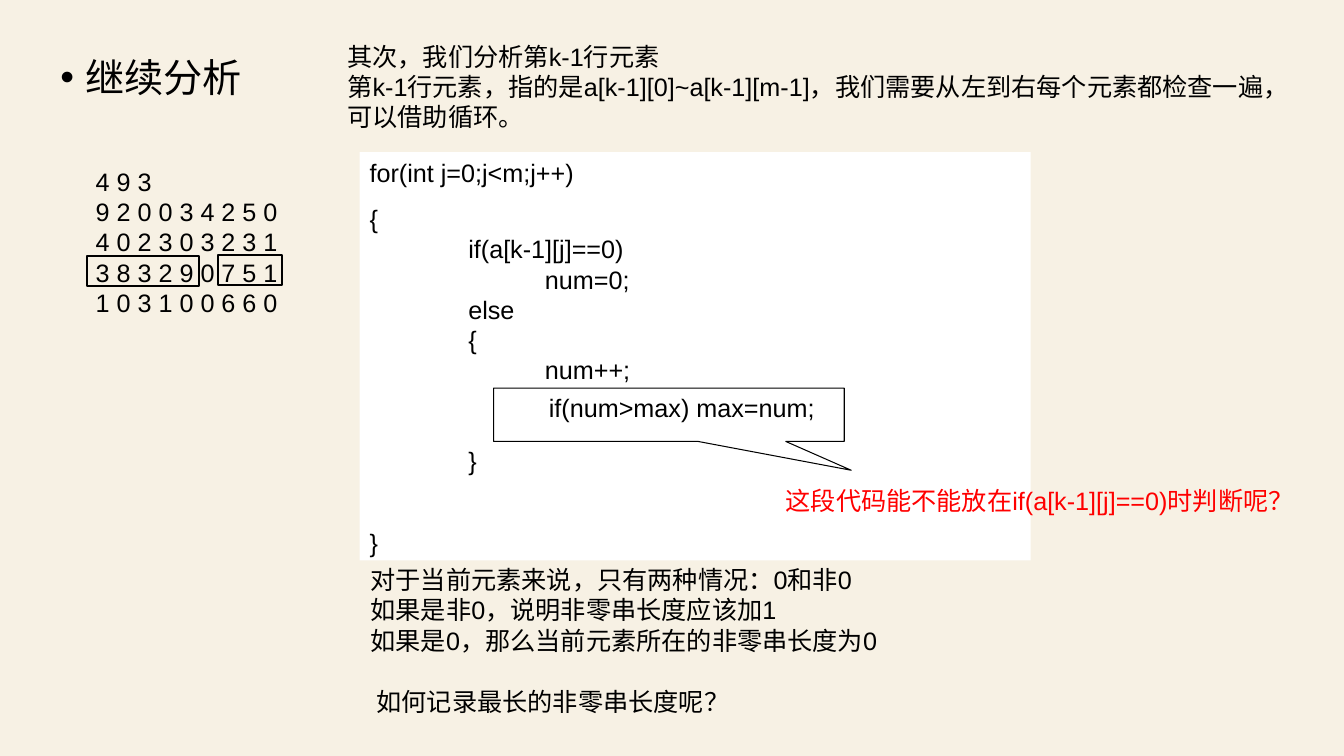
"""Build the slide that analyses the elements of row k-1."""
from pptx import Presentation
from pptx.dml.color import RGBColor
from pptx.enum.shapes import MSO_SHAPE as Shape
from pptx.enum.text import MSO_ANCHOR as Anchor, PP_ALIGN as Align
from pptx.util import Inches, Pt
from lxml.etree import SubElement

BLACK, RED, WHITE, CREAM = "000000", "FF0000", "FFFFFF", "F7F1E4"
TITLE = "继续分析"
GRID = ["4 9 3", "9 2 0 0 3 4 2 5 0", "4 0 2 3 0 3 2 3 1",
        "3 8 3 2 9 0 7 5 1", "1 0 3 1 0 0 6 6 0"]
INTRO = ["其次，我们分析第k-1行元素",
         "第k-1行元素，指的是a[k-1][0]~a[k-1][m-1]，我们需要从左到右每个元素都检查一遍，",
         "可以借助循环。"]
LOOP = ["for(int j=0;j<m;j++)", "{", "}"]
BRANCH = ["if(a[k-1][j]==0)", "num=0;", "else", "{", "num++;", "}"]
UPDATE = ["if(num>max) max=num;"]
CASES = ["对于当前元素来说，只有两种情况：0和非0",
         "如果是非0，说明非零串长度应该加1",
         "如果是0，那么当前元素所在的非零串长度为0"]
RECORD = ["如何记录最长的非零串长度呢？"]
ASK = ["这段代码能不能放在if(a[k-1][j]==0)时判断呢？"]
LOOP_GAPS = {1: 11.2, 2: 210}
BRANCH_GAPS = {5: 43.2}
NOTES = [
    (GRID, (0.85, 1.6, 2.48, 1.6), BLACK, True),
    (INTRO, (3.35, 0.36, 9.78, 1), BLACK, False),
    (CASES, (3.58, 5.55, 5.41, 1), BLACK, False),
    (RECORD, (3.64, 6.76, 3.7, 0.4), BLACK, False),
    (UPDATE, (5.35, 3.84, 2.84, 0.4), BLACK, False),
    (ASK, (7.7, 4.77, 5.36, 0.4), RED, False),
]
RUNS = [(0.86, 2.54, 1.12, 0.3), (2.16, 2.53, 0.64, 0.3)]


def paint(part, color):
    part.solid()
    part.fore_color.rgb = RGBColor.from_string(color)


def write(shape, lines, color=BLACK, size=18, wrap=True, gaps={}):
    frame = shape.text_frame
    frame.text = "\n".join(lines)
    frame.word_wrap = wrap
    frame.vertical_anchor = Anchor.TOP
    for i, para in enumerate(frame.paragraphs):
        para.alignment = Align.LEFT
        para.space_before = Pt(gaps.get(i, 0))
        for run in para.runs:
            run.font.name, run.font.size = "Arial", Pt(size)
            paint(run.font.fill, color)
    return frame.paragraphs


def add_note(slide, lines, box, color=BLACK, wrap=True, size=18, gaps={}):
    note = slide.shapes.add_textbox(*map(Inches, box))
    return write(note, lines, color, size, wrap, gaps)


def add_frame(slide, kind, box, width):
    frame = slide.shapes.add_shape(kind, *map(Inches, box))
    frame.shadow.inherit = False
    frame.fill.background()
    paint(frame.line.fill, BLACK)
    frame.line.width = Pt(width)
    return frame


def indent(para, left, first=0):
    props = para._p.get_or_add_pPr()
    props.set("marL", str(Inches(left)))
    props.set("indent", str(Inches(first)))
    return props


def main():
    deck = Presentation()
    deck.slide_width, deck.slide_height = Inches(13.34), Inches(7.5)
    slide = deck.slides.add_slide(deck.slide_layouts[6])
    paint(slide.background.fill, CREAM)

    title = add_note(slide, [TITLE], (0.5, 0.53, 2.8, 0.6), size=28)[0]
    title.line_spacing = 0.9
    props = indent(title, 0.25, -0.25)
    space = props.tag.removesuffix("pPr")
    SubElement(props, space + "buFont", typeface="Arial")
    SubElement(props, space + "buChar", char="•")

    panel = slide.shapes.add_shape(
        Shape.RECTANGLE, *map(Inches, (3.57, 1.51, 6.66, 4.05)))
    panel.shadow.inherit = False
    paint(panel.fill, WHITE)
    panel.line.fill.background()
    write(panel, LOOP, gaps=LOOP_GAPS)

    branch = add_note(slide, BRANCH, (4.55, 2.27, 1.81, 2.5), gaps=BRANCH_GAPS)
    for para in branch:
        if para.text.startswith("num"):
            indent(para, 0.76)

    for lines, box, color, wrap in NOTES:
        add_note(slide, lines, box, color, wrap)
    for box in RUNS:
        add_frame(slide, Shape.RECTANGLE, box, 1.5)
    callout = add_frame(
        slide, Shape.RECTANGULAR_CALLOUT, (4.9, 3.85, 3.48, 0.53), 0.75)
    callout.adjustments[0], callout.adjustments[1] = 0.52, 1.04
    deck.save("out.pptx")


if __name__ == "__main__":
    main()
